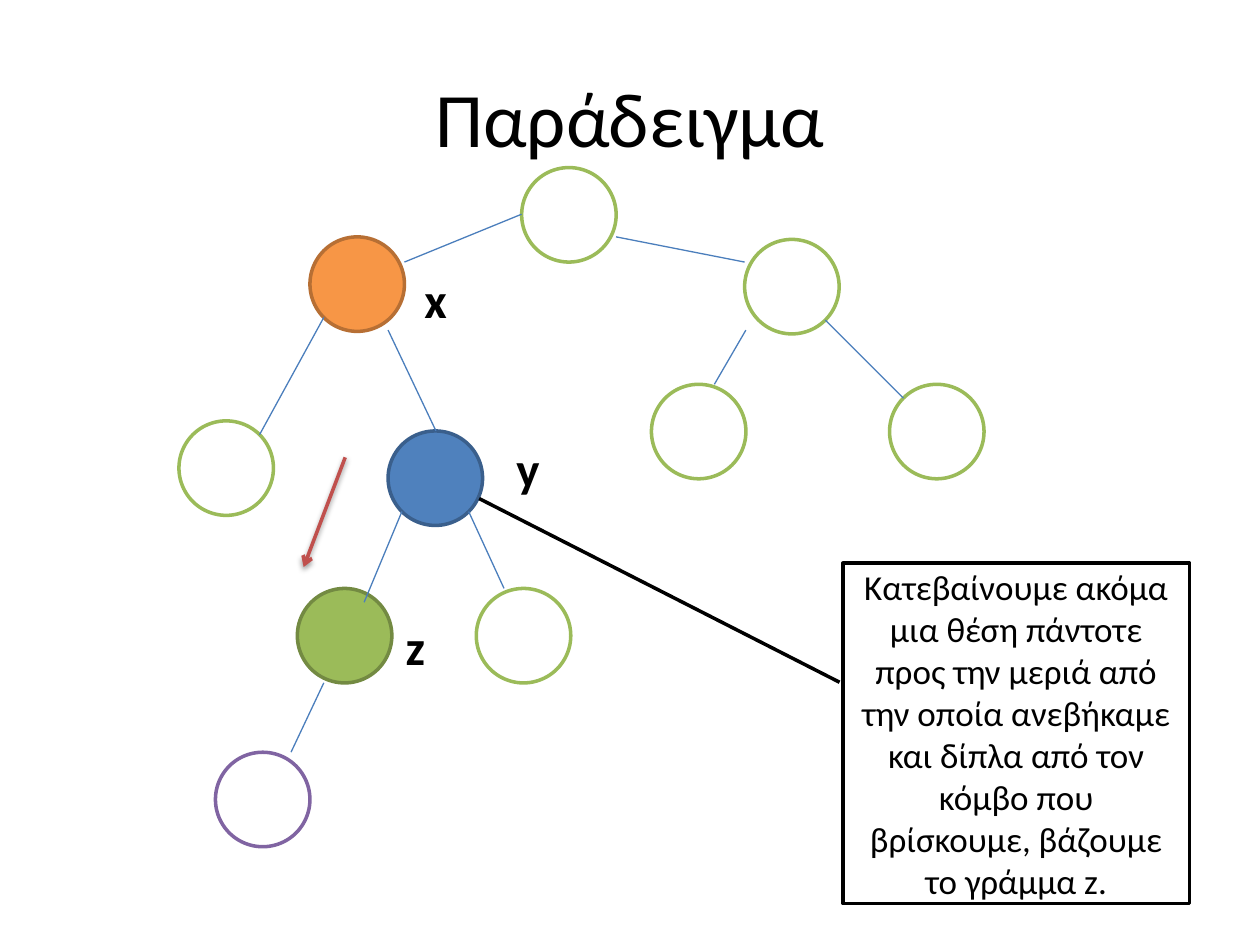
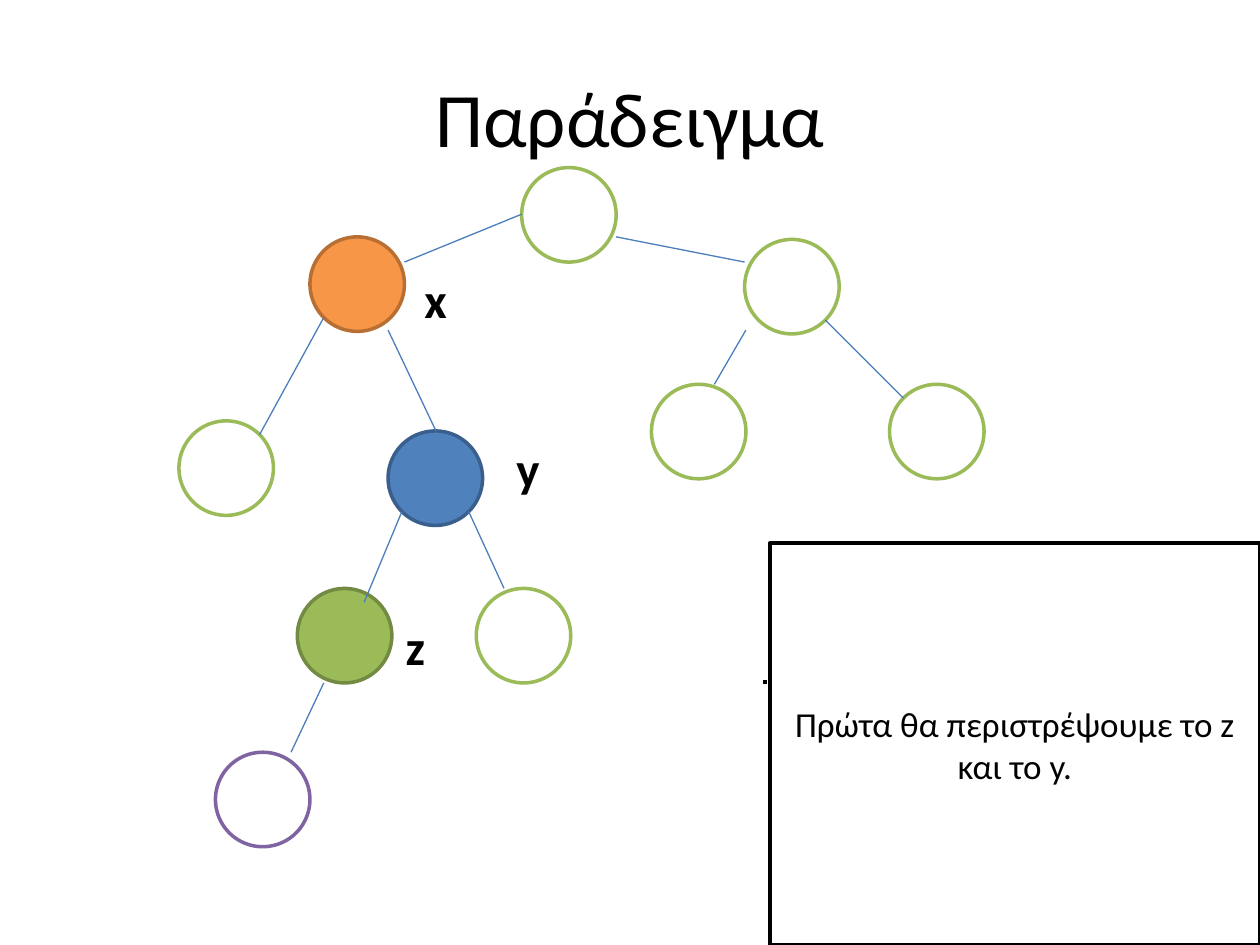
from dataclasses import dataclass
from typing import Any, NamedTuple

from lxml.etree import SubElement
from pptx import Presentation
from pptx.dml.color import RGBColor
from pptx.enum.shapes import MSO_CONNECTOR as Connector, MSO_SHAPE as Shape
from pptx.enum.text import MSO_ANCHOR as Anchor, MSO_AUTO_SIZE as AutoSize, PP_ALIGN as Align
from pptx.oxml.ns import qn
from pptx.util import Inches, Pt


@dataclass(frozen=True)
class Theme:
    font: str = "Calibri"
    black: str = "000000"
    white: str = "FFFFFF"
    orange: str = "F79646"
    orange_edge: str = "B76F34"
    blue: str = "4F81BD"
    blue_edge: str = "3A5F8C"
    green: str = "9BBB59"
    green_edge: str = "738A42"
    purple: str = "8064A2"
    branch: str = "4B7EBC"
    red: str = "C0504D"
    title_size: int = 44
    label_size: int = 28
    note_size: int = 20
    outline: float = 2
    thin: float = 0.75


THEME = Theme()
DIAMETER = 0.75
LABEL_SIZE = (0.75, 0.57)


class TreeNode(NamedTuple):
    left: float
    top: float
    fill: str = THEME.white
    edge: str = THEME.green


class Branch(NamedTuple):
    x1: float
    y1: float
    x2: float
    y2: float
    color: str = THEME.branch
    width: float = THEME.thin


class NodeLabel(NamedTuple):
    text: str
    left: float
    top: float


class Callout(NamedTuple):
    text: str
    box: tuple[float, float, float, float]
    pointer: tuple[float, float, float, float]


class Step(NamedTuple):
    callout: Callout
    direction: Branch | None = None


TREE_NODES = [
    TreeNode(2.46, 1.88, THEME.orange, THEME.orange_edge),
    TreeNode(4.14, 1.33),
    TreeNode(5.91, 1.9),
    TreeNode(3.08, 3.42, THEME.blue, THEME.blue_edge),
    TreeNode(7.06, 3.05),
    TreeNode(3.78, 4.67),
    TreeNode(5.17, 3.05),
    TreeNode(1.42, 3.34),
    TreeNode(2.36, 4.67, THEME.green, THEME.green_edge),
    TreeNode(1.71, 5.97, edge=THEME.purple),
]
BRANCHES = [
    Branch(4.14, 1.7, 3.21, 2.08),
    Branch(2.06, 3.45, 2.57, 2.52),
    Branch(3.46, 3.42, 3.08, 2.62),
    Branch(5.91, 2.08, 4.89, 1.88),
    Branch(5.92, 2.62, 5.67, 3.05),
    Branch(6.55, 2.54, 7.17, 3.16),
    Branch(3.72, 4.06, 4, 4.67),
    Branch(3.19, 4.06, 2.89, 4.78),
    Branch(2.57, 5.42, 2.31, 5.97),
]
NODE_LABELS = [
    NodeLabel("x", 3.27, 2.09),
    NodeLabel("y", 4, 3.43),
    NodeLabel("z", 3.12, 4.84),
]
STEPS = [
    Step(
        Callout(
            "Κατεβαίνουμε ακόμα μια θέση πάντοτε προς την μεριά από την οποία "
            "ανεβήκαμε και δίπλα από τον κόμβο που βρίσκουμε, βάζουμε το γράμμα z.",
            (6.69, 4.47, 2.75, 2.7),
            (0.35, -0.01, -0.19, -1.05),
        ),
        Branch(2.74, 3.63, 2.41, 4.5, THEME.red, THEME.outline),
    ),
    Step(
        Callout(
            "Πρώτα θα περιστρέψουμε το z και το y.",
            (6.11, 4.31, 3.89, 3.19),
            (0.35, -0.01, 0.34, -0.01),
        )
    ),
]


def apply_format(target: Any, values: dict[str, Any]) -> None:
    for attribute, value in values.items():
        setattr(target, attribute, value)


def write_text(frame: Any, text: str, size: int, align: Align, bold: bool = False,
               **frame_format: Any) -> None:
    apply_format(frame, {"word_wrap": True, **frame_format})
    paragraph = frame.paragraphs[0]
    paragraph.alignment = align
    run = paragraph.add_run()
    run.text = text
    apply_format(run.font, {"name": THEME.font, "size": Pt(size), "bold": bold})
    run.font.color.rgb = RGBColor.from_string(THEME.black)


def paint_line(line: Any, color: str, width: float) -> None:
    line.color.rgb = RGBColor.from_string(color)
    line.width = Pt(width)


def add_outlined(slide: Any, kind: Shape, box: tuple[float, ...], fill: str, edge: str) -> Any:
    shape = slide.shapes.add_shape(kind, *map(Inches, box))
    shape.shadow.inherit = False
    shape.fill.solid()
    shape.fill.fore_color.rgb = RGBColor.from_string(fill)
    paint_line(shape.line, edge, THEME.outline)
    return shape


def add_branch(slide: Any, branch: Branch) -> tuple[Any, Any]:
    connector = slide.shapes.add_connector(Connector.STRAIGHT, *map(Inches, branch[:4]))
    paint_line(connector.line, branch.color, branch.width)
    effects = SubElement(connector._element.spPr, qn("a:effectLst"))
    return connector, effects


def add_direction(slide: Any, direction: Branch) -> None:
    connector, effects = add_branch(slide, direction)
    SubElement(connector.line._get_or_add_ln(), qn("a:tailEnd"), type="arrow")
    shadow = SubElement(effects, qn("a:outerShdw"), blurRad=str(Pt(3.1)),
                        dist=str(Pt(1.6)), dir="5400000", rotWithShape="0")
    color = SubElement(shadow, qn("a:srgbClr"), val=THEME.black)
    SubElement(color, qn("a:alpha"), val="38000")


def add_label(slide: Any, label: NodeLabel) -> None:
    box = slide.shapes.add_textbox(*map(Inches, (label.left, label.top, *LABEL_SIZE)))
    write_text(box.text_frame, label.text, THEME.label_size, Align.LEFT, bold=True,
               auto_size=AutoSize.SHAPE_TO_FIT_TEXT)


def add_callout(slide: Any, callout: Callout) -> None:
    note = add_outlined(slide, Shape.LINE_CALLOUT_1, callout.box, THEME.white, THEME.black)
    for index, value in enumerate(callout.pointer):
        note.adjustments[index] = value
    write_text(note.text_frame, callout.text, THEME.note_size, Align.CENTER,
               vertical_anchor=Anchor.MIDDLE)


def add_title(slide: Any, text: str) -> None:
    title = slide.shapes.title
    apply_format(title, {"left": Inches(0.5), "top": Inches(0.3),
                         "width": Inches(9), "height": Inches(1.25)})
    write_text(title.text_frame, text, THEME.title_size, Align.CENTER,
               vertical_anchor=Anchor.MIDDLE)


def add_tree(slide: Any) -> None:
    for node in TREE_NODES:
        add_outlined(slide, Shape.OVAL, (node.left, node.top, DIAMETER, DIAMETER),
                     node.fill, node.edge)
    for branch in BRANCHES:
        add_branch(slide, branch)


def add_step(deck: Any, step: Step) -> None:
    slide = deck.slides.add_slide(deck.slide_layouts[5])
    add_title(slide, "Παράδειγμα")
    add_tree(slide)
    if step.direction:
        add_direction(slide, step.direction)
    add_callout(slide, step.callout)
    for label in NODE_LABELS:
        add_label(slide, label)


def main() -> None:
    deck = Presentation()
    apply_format(deck, {"slide_width": Inches(10), "slide_height": Inches(7.5)})
    for step in STEPS:
        add_step(deck, step)
    deck.save("out.pptx")


if __name__ == "__main__":
    main()
